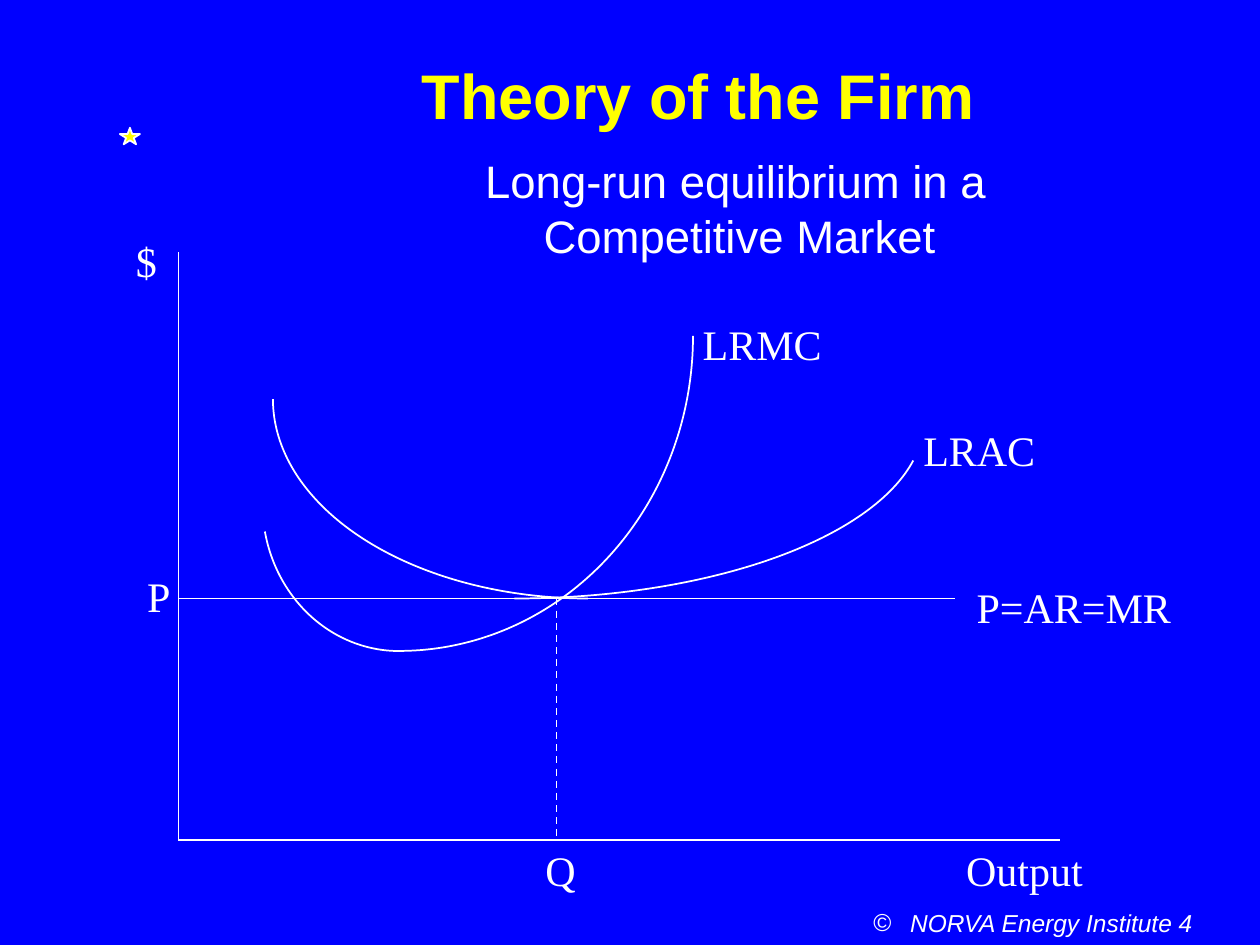
from lxml import etree
from pptx import Presentation
from pptx.dml.color import RGBColor
from pptx.enum.dml import MSO_LINE_DASH_STYLE as Dash
from pptx.enum.shapes import MSO_CONNECTOR as Connector, MSO_SHAPE as Shape
from pptx.enum.text import MSO_ANCHOR as Anchor, PP_ALIGN as Align
from pptx.oxml.ns import qn
from pptx.util import Pt

BLUE, YELLOW, WHITE = "0000FF", "FFFF00", "FFFFFF"
SANS, SERIF = "Arial", "Times New Roman"
LINE_WIDTH = 0.99


def colour(value):
    """Turn a hex string into a colour."""
    return RGBColor.from_string(value)


def add_text(shapes, box, text, size, font, ink=WHITE, bold=False,
             italic=False, align=Align.LEFT, wrap=True):
    """Place one line or paragraph in a box and return its text frame."""
    frame = shapes.add_textbox(*map(Pt, box)).text_frame
    frame.word_wrap = wrap
    para = frame.paragraphs[0]
    para.alignment = align
    span = para.add_run()
    span.text = text
    span.font.name, span.font.size = font, Pt(size)
    span.font.bold, span.font.italic = bold, italic
    span.font.color.rgb = colour(ink)
    return frame


def set_indent(para, margin, first):
    """Set the left margin and first-line indent; return the properties."""
    props = para._p.get_or_add_pPr()
    props.set("marL", str(Pt(margin)))
    props.set("indent", str(Pt(first)))
    return props


def style_line(line):
    """Give an outline the common white stroke."""
    line.color.rgb = colour(WHITE)
    line.width = Pt(LINE_WIDTH)


def add_line(shapes, start, end, dash=None):
    """Draw a straight line between two points."""
    line = shapes.add_connector(Connector.STRAIGHT, *map(Pt, start + end))
    style_line(line.line)
    if dash:
        line.line.dash_style = dash
    etree.SubElement(line._element.spPr, qn("a:effectLst"))


def add_arc(shapes, box, start, end):
    """Draw the part of an ellipse between two angles in degrees."""
    arc = shapes.add_shape(Shape.ARC, *map(Pt, box))
    arc.shadow.inherit = False
    arc.fill.background()
    style_line(arc.line)
    for index, angle in enumerate((start, end)):
        arc.adjustments[index] = angle * 0.6


def add_heading(page, box):
    """Place the title, the subtitle under it and the star at the left."""
    left, top, width, height = box
    title = add_text(page.shapes, box, "Theory of the Firm", 36, SANS,
                     YELLOW, bold=True, align=Align.CENTER)
    title.vertical_anchor = Anchor.MIDDLE
    subtitle = add_text(page.shapes, (left + 114.5, top + 54, 348, 78),
                        "Long-run equilibrium in a Competitive Market",
                        26, SANS, align=Align.CENTER)
    para = subtitle.paragraphs[0]
    para.space_before = Pt(6.5)
    set_indent(para, 4.5, -4.5)
    star = page.shapes.add_shape(
        Shape.STAR_5_POINT, Pt(left - 63.5), Pt(top + 43), Pt(11.5), Pt(9.5))
    star.shadow.inherit = False
    star.fill.solid()
    star.fill.fore_color.rgb = colour(YELLOW)
    style_line(star.line)


def add_diagram(page, box):
    """Draw the axes, price line, cost curves and labels in a box."""
    left, top, width, height = box
    shapes = page.shapes.add_group_shape().shapes
    bottom, price, quantity = top + height, top + 198, left + 216

    add_line(shapes, (left, top), (left, bottom))
    add_line(shapes, (left, bottom), (left + width, bottom))
    add_line(shapes, (left, price), (left + 444, price))
    add_line(shapes, (quantity, price), (quantity, bottom), Dash.DASH)

    curves = (
        (-42, -6, 468, 204, 5.8, 90),
        (54, -30, 360, 228, 90, 180),
        (-42, -132, 336, 360, 0, 90),
        (48, 60, 156, 168, 90, 168.4),
    )
    for x, y, wide, high, start, end in curves:
        add_arc(shapes, (left + x, top + y, wide, high), start, end)

    labels = (
        ("LRMC", 292.5, 34.5, 83),
        ("LRAC", 418.5, 95, 78.5),
        ("P", -25, 178.5, 28),
        ("Q", 202.5, 335, 32),
        ("P=AR=MR", 449, 185, 126),
        ("$", -31.5, -13, 26.5),
        ("Output", 443, 335, 81.5),
    )
    for text, x, y, wide in labels:
        add_text(shapes, (left + x, top + y, wide, 36), text, 24, SERIF,
                 wrap=False)


def add_footer(page, box):
    """Place the credit line with a copyright sign as its bullet."""
    frame = add_text(page.shapes, box, "NORVA Energy Institute 4", 14, SANS,
                     italic=True)
    props = set_indent(frame.paragraphs[0], 40, -21)
    ink = etree.SubElement(props, qn("a:buClr"))
    etree.SubElement(ink, qn("a:srgbClr"), val=WHITE)
    etree.SubElement(props, qn("a:buFont"), typeface=SANS)
    etree.SubElement(props, qn("a:buChar"), char="©")


def build():
    """Build the deck and save it."""
    deck = Presentation()
    deck.slide_width, deck.slide_height = Pt(720), Pt(540)
    page = deck.slides.add_slide(deck.slide_layouts[6])
    page.background.fill.solid()
    page.background.fill.fore_color.rgb = colour(BLUE)
    add_footer(page, (473, 515.5, 247, 24))
    add_heading(page, (132, 30, 534, 48))
    add_diagram(page, (102, 144, 504, 336))
    deck.save("out.pptx")


build()
